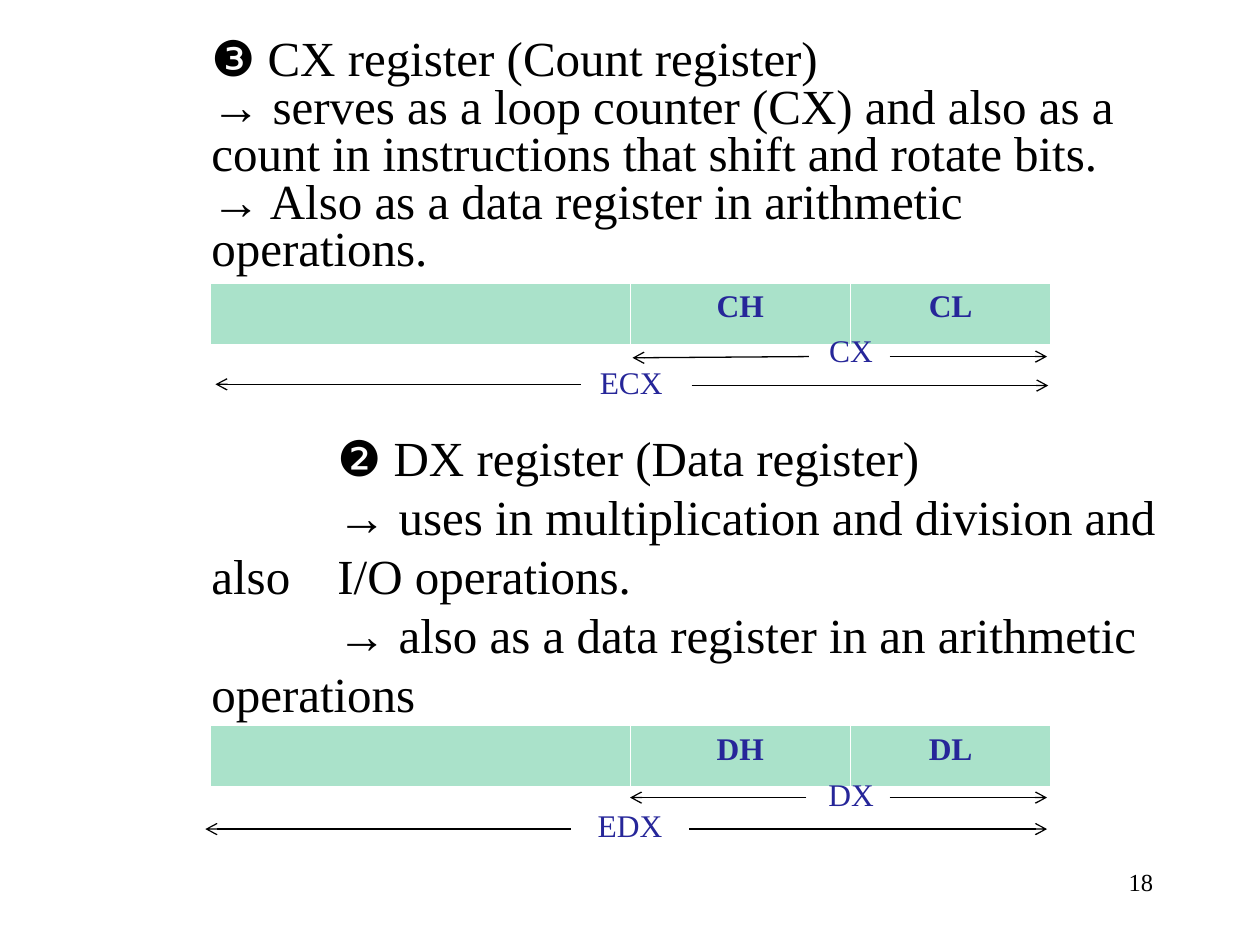
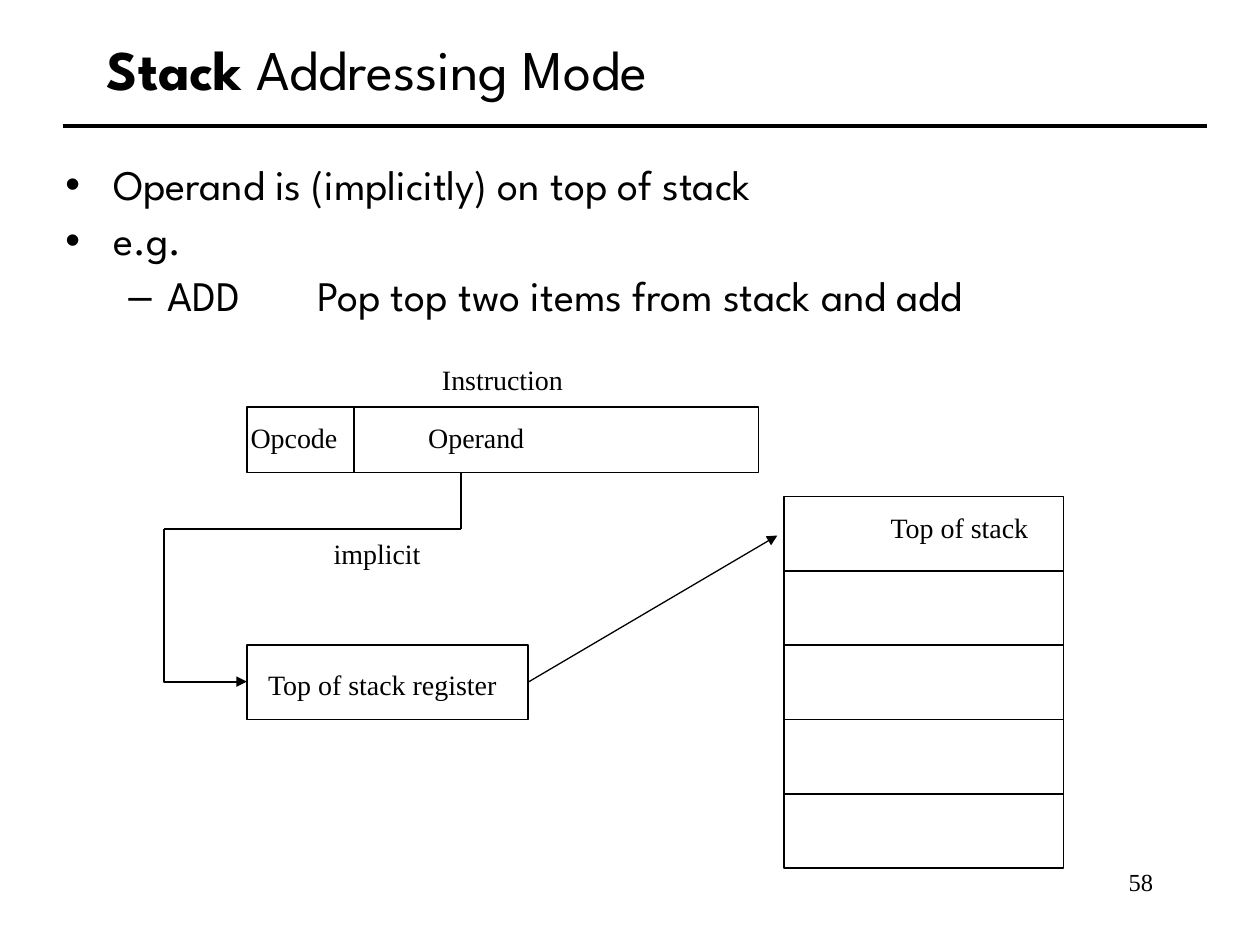
"""Build two slides on processor registers and stack addressing."""
from dataclasses import dataclass

from lxml import etree
from pptx import Presentation
from pptx import util as u
from pptx.dml.color import RGBColor
from pptx.enum import shapes, text
from pptx.oxml import ns

PX = u.Inches(1) // 100
BLACK = RGBColor(0x00, 0x00, 0x00)
WHITE = RGBColor(0xFF, 0xFF, 0xFF)
INDIGO = RGBColor(0x26, 0x26, 0x99)
MINT = RGBColor(0xAA, 0xE2, 0xCA)
SERIF, SANS, SYMBOL = "Times New Roman", "League Spartan", "Arial"
LEFT, CENTER, RIGHT = (text.PP_ALIGN.LEFT, text.PP_ALIGN.CENTER, text.PP_ALIGN.RIGHT)
COLUMN_WIDTHS = (333, 175, 159)
CELL_BORDERS = {"lnL": 0.45, "lnR": 0.45, "lnT": 0.45, "lnB": 1.47}
TIGHT, LOOSE = u.Pt(27.1), u.Pt(33.75)


@dataclass(frozen=True)
class Style:
    size: int
    font: str = SERIF
    color: RGBColor = BLACK
    bold: bool = False


@dataclass(frozen=True)
class Span:
    words: str
    style: Style


@dataclass(frozen=True)
class Para:
    spans: tuple[Span, ...]
    align: text.PP_ALIGN = LEFT
    spacing: float | u.Length | None = None
    before: int = 0
    margin: int = 0
    indent: int = 0
    bullet: str = ""
    tab: int = 0


@dataclass(frozen=True)
class Box:
    left: int
    top: int
    width: int
    height: int


@dataclass(frozen=True)
class Line:
    x1: int
    y1: int
    x2: int
    y2: int
    weight: float = 0.75
    head: str = ""


@dataclass(frozen=True)
class Label:
    words: str
    box: Box


@dataclass(frozen=True)
class Register:
    high: str
    low: str
    top: int
    labels: tuple[Label, ...]
    arrows: tuple[Line, ...]


BODY = Style(28)
MARK = Style(28, SYMBOL)
NOTE = Style(16)
NAME = Style(18, color=INDIGO)
CELL = Style(18, color=INDIGO, bold=True)
POINT = Style(24, SANS)

REGISTERS = (
    Register(
        "CH", "CL", 225,
        (Label("CX", Box(642, 258, 67, 40)), Label("ECX", Box(465, 283, 72, 40))),
        (Line(706, 283, 831, 283, head="arrow"), Line(549, 306, 832, 306, head="arrow"),
         Line(642, 283, 502, 284, head="arrow"), Line(461, 305, 171, 305, head="arrow")),
    ),
    Register(
        "DH", "DL", 576,
        (Label("DX", Box(642, 610, 67, 40)), Label("EDX", Box(464, 635, 72, 40))),
        (Line(706, 633, 831, 633, head="arrow"), Line(547, 658, 831, 658, head="arrow"),
         Line(640, 633, 500, 633, head="arrow"), Line(453, 658, 163, 658, head="arrow")),
    ),
)

STACK_LABELS = (
    Label("Operand", Box(330, 329, 96, 36)),
    Label("Opcode", Box(189, 329, 89, 36)),
    Label("Instruction", Box(341, 283, 116, 36)),
    Label("Top of stack", Box(697, 400, 131, 36)),
    Label("Top of stack register", Box(203, 525, 203, 36)),
    Label("implicit", Box(255, 421, 89, 36)),
)


def child(parent, tag: str, **attributes: str):
    return etree.SubElement(parent, ns.qn(tag), attributes)


def marked(mark: str, words: str, **layout) -> Para:
    return Para((Span(mark, MARK), Span(words, BODY)), **layout)


def write_para(para, content: Para) -> None:
    properties = para._p.get_or_add_pPr()
    properties.set("marL", str(content.margin * PX))
    properties.set("indent", str(content.indent * PX))
    if content.bullet:
        child(properties, "a:buFont", typeface=SYMBOL)
        child(properties, "a:buChar", char=content.bullet)
    if content.tab:
        tabs = child(properties, "a:tabLst")
        child(tabs, "a:tab", pos=str(content.tab * PX), algn="l")
    para.alignment = content.align
    if content.spacing:
        para.line_spacing = content.spacing
    para.space_before = u.Pt(content.before)
    for item in content.spans:
        span = para.add_run()
        span.text = item.words
        span.font.name = item.style.font
        span.font.size = u.Pt(item.style.size)
        span.font.bold = item.style.bold
        span.font.color.rgb = item.style.color


def add_text(page, box: Box, *paras: Para, wrap: bool = True,
             anchor: text.MSO_ANCHOR = text.MSO_ANCHOR.TOP) -> None:
    frame = page.shapes.add_textbox(
        box.left * PX, box.top * PX, box.width * PX, box.height * PX).text_frame
    frame.word_wrap = wrap
    frame.vertical_anchor = anchor
    for index, content in enumerate(paras):
        para = frame.add_paragraph() if index else frame.paragraphs[0]
        write_para(para, content)


def finish_line(shape, weight: float, head: str = "") -> None:
    shape.line.color.rgb = BLACK
    shape.line.width = u.Pt(weight)
    if head:
        child(shape.line._get_or_add_ln(), "a:tailEnd", type=head)


def add_line(page, line: Line):
    connector = page.shapes.add_connector(
        shapes.MSO_CONNECTOR.STRAIGHT,
        line.x1 * PX, line.y1 * PX, line.x2 * PX, line.y2 * PX)
    finish_line(connector, line.weight, line.head)
    child(connector._element.spPr, "a:effectLst")
    return connector


def add_rectangle(page, box: Box):
    rectangle = page.shapes.add_shape(
        shapes.MSO_SHAPE.RECTANGLE,
        box.left * PX, box.top * PX, box.width * PX, box.height * PX)
    rectangle.shadow.inherit = False
    rectangle.fill.background()
    finish_line(rectangle, 1)
    return rectangle


def add_number(page, number: int) -> None:
    add_text(page, Box(717, 683, 208, 50),
             Para((Span(str(number), Style(14)),), align=RIGHT))


def add_register(page, register: Register) -> None:
    table = page.shapes.add_table(
        1, 3, 167 * PX, register.top * PX, sum(COLUMN_WIDTHS) * PX, 49 * PX).table
    for index, words in enumerate(("", register.high, register.low)):
        table.columns[index].width = COLUMN_WIDTHS[index] * PX
        cell = table.cell(0, index)
        properties = cell._tc.get_or_add_tcPr()
        for side, weight in CELL_BORDERS.items():
            border = child(properties, f"a:{side}", w=str(u.Pt(weight)))
            child(child(border, "a:solidFill"), "a:srgbClr", val=str(WHITE))
        cell.fill.solid()
        cell.fill.fore_color.rgb = MINT
        if words:
            write_para(cell.text_frame.paragraphs[0],
                       Para((Span(words, CELL),), align=CENTER))
    for label in register.labels:
        add_text(page, label.box, Para((Span(label.words, NAME),), align=CENTER))
    for arrow in register.arrows:
        add_line(page, arrow)


def build_registers(page) -> None:
    add_number(page, 18)
    add_text(
        page, Box(158, 17, 785, 205),
        marked("❸", " CX register (Count register)", spacing=LOOSE),
        marked("→", " serves as a loop counter (CX) and also as a count in "
                    "instructions that shift and rotate bits.", spacing=TIGHT),
        marked("→", " Also as a data register in arithmetic operations.",
               spacing=TIGHT))
    add_text(
        page, Box(158, 334, 785, 245),
        marked("❷", " DX register (Data register)", spacing=LOOSE, indent=100),
        marked("→", " uses in multiplication and division and also \tI/O operations.",
               spacing=LOOSE, indent=100, tab=100),
        marked("→", " also as a data register in an arithmetic operations",
               spacing=LOOSE, indent=100))
    for register in REGISTERS:
        add_register(page, register)


def build_stack(page) -> None:
    add_number(page, 58)
    add_text(page, Box(75, 24, 850, 62),
             Para((Span("Stack", Style(32, SANS, bold=True)),
                   Span(" Addressing Mode", Style(32, SANS)))),
             anchor=text.MSO_ANCHOR.BOTTOM)
    add_text(
        page, Box(42, 125, 900, 225),
        Para((Span("Operand is (implicitly) on top of stack", POINT),),
             spacing=0.9, margin=38, indent=-38, bullet="•"),
        Para((Span("e.g.", POINT),),
             spacing=0.9, before=6, margin=38, indent=-38, bullet="•"),
        Para((Span("ADD\tPop top two items from stack and add", POINT),),
             spacing=0.9, before=6, margin=81, indent=-31, bullet="–", tab=200))
    add_line(page, Line(50, 100, 958, 100, 2.25))
    add_rectangle(page, Box(196, 323, 406, 52))
    add_line(page, Line(281, 323, 281, 375, 1))
    for slot in range(5):
        add_rectangle(page, Box(622, 394 + 59 * slot, 222, 59))
    stack_register = add_rectangle(page, Box(196, 512, 223, 59))
    for label in STACK_LABELS:
        add_text(page, label.box, Para((Span(label.words, NOTE),)), wrap=False)
    add_line(page, Line(366, 375, 366, 420, 1))
    add_line(page, Line(366, 420, 130, 420, 1))
    builder = page.shapes.build_freeform(130, 420, scale=PX)
    builder.add_line_segments(((130, 541), (196, 541)), close=False)
    elbow = builder.convert_to_shape()
    elbow.shadow.inherit = False
    elbow.fill.background()
    finish_line(elbow, 1, "triangle")
    pointer = add_line(page, Line(419, 541, 617, 425, head="triangle"))
    pointer.begin_connect(stack_register, 3)


def main() -> None:
    deck = Presentation()
    deck.slide_width, deck.slide_height = 1000 * PX, 750 * PX
    for build in (build_registers, build_stack):
        build(deck.slides.add_slide(deck.slide_layouts[6]))
    deck.save("out.pptx")


if __name__ == "__main__":
    main()
